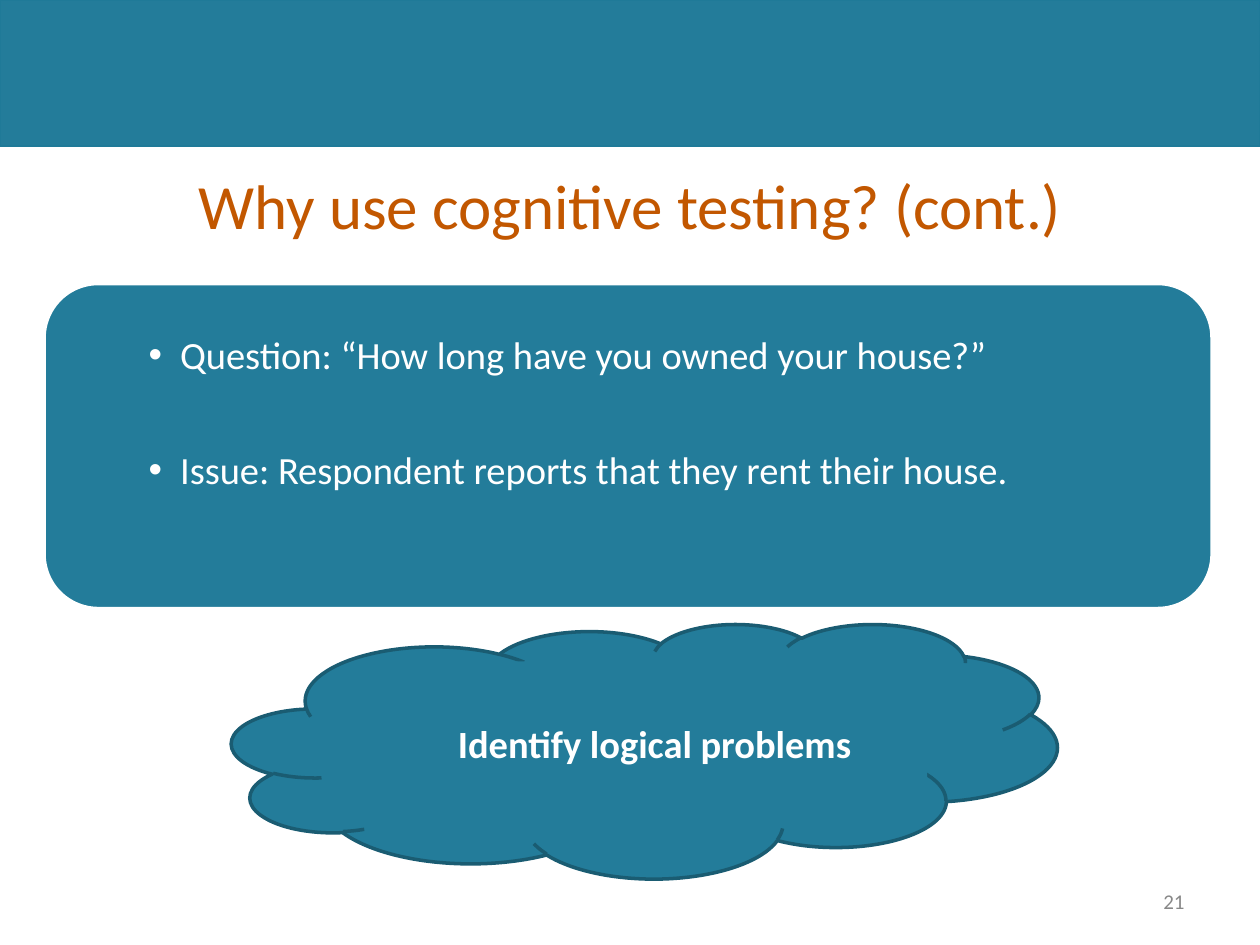
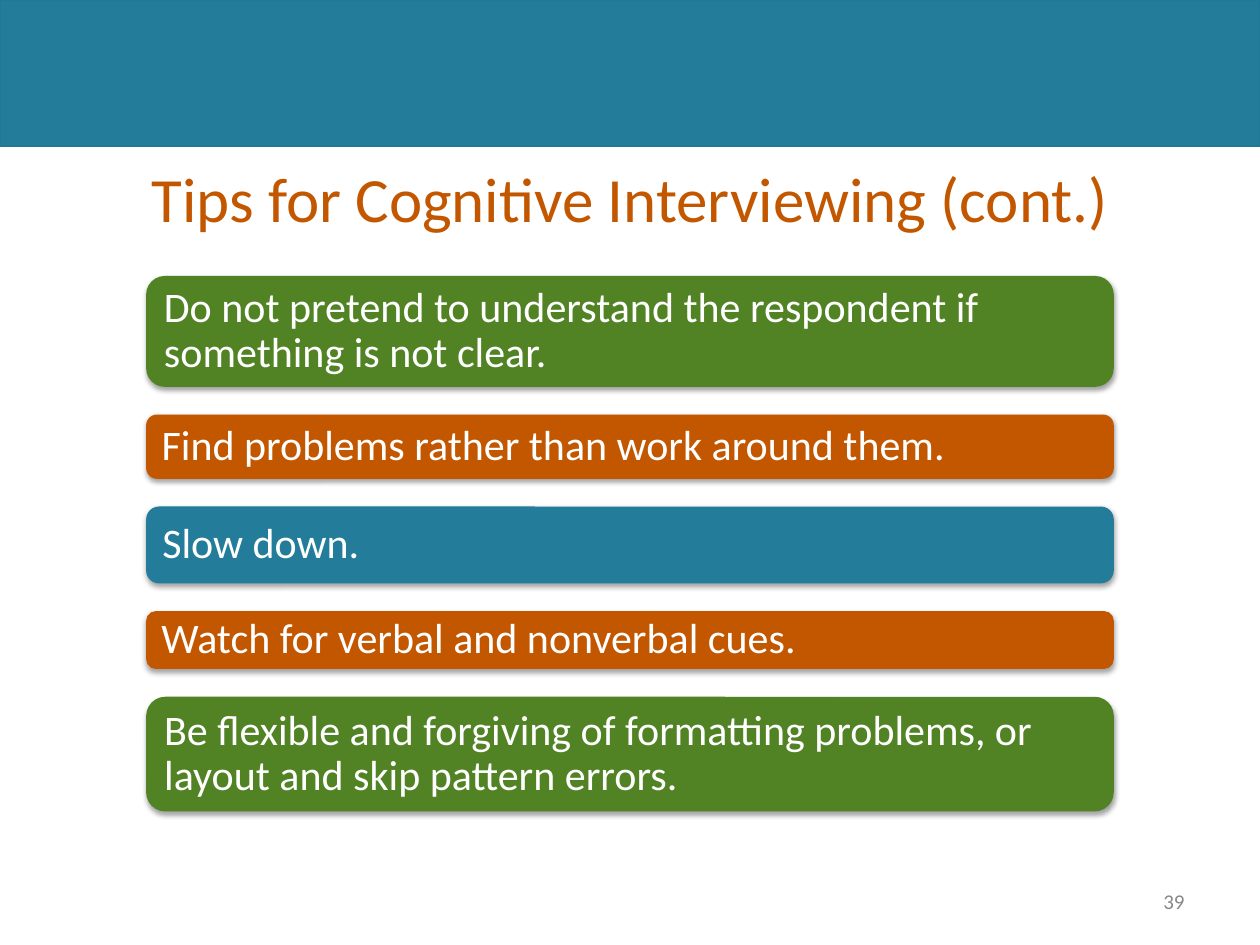
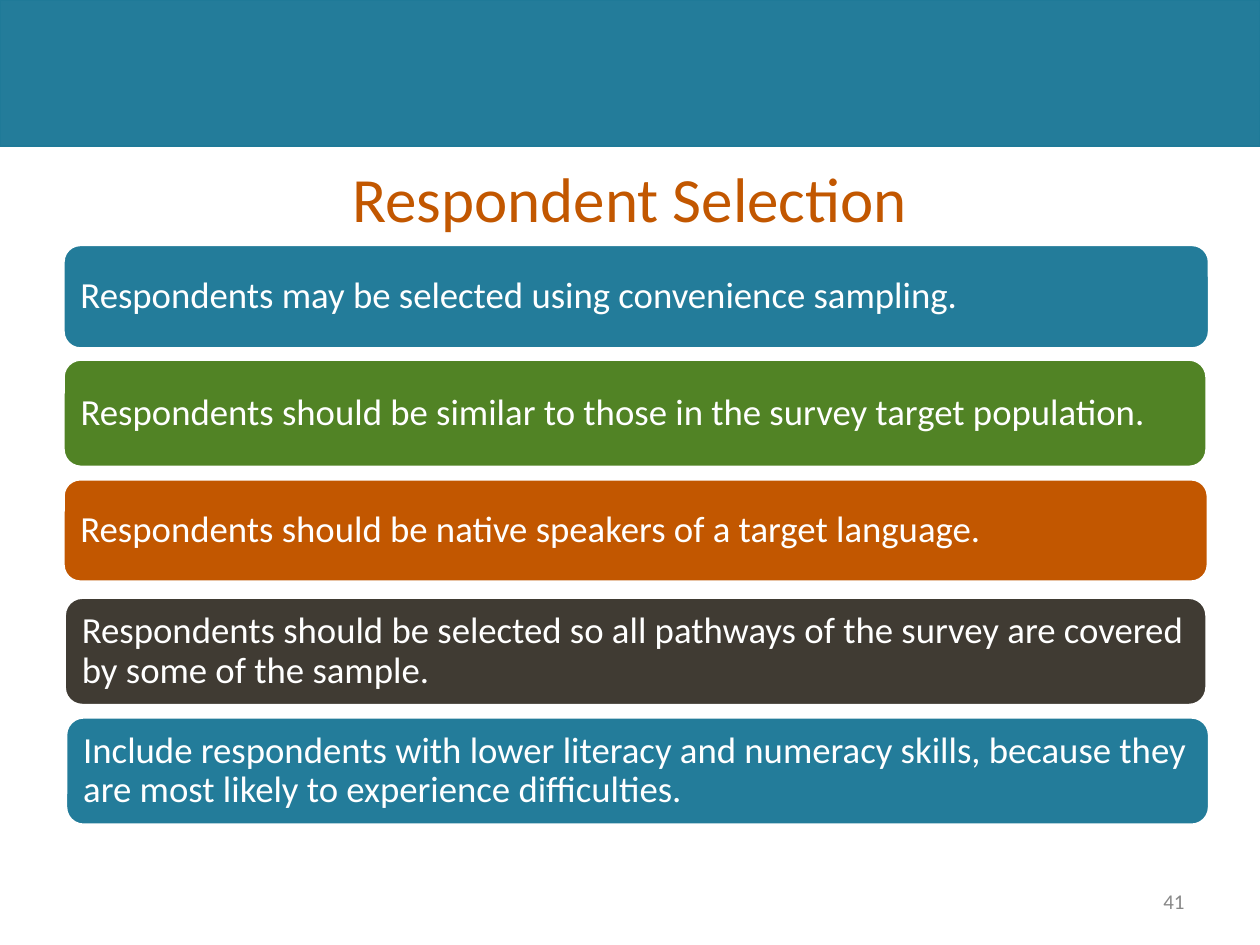
from typing import NamedTuple, Optional

from lxml.etree import SubElement
from pptx import Presentation
from pptx.dml.color import RGBColor
from pptx.enum.shapes import MSO_SHAPE
from pptx.enum.text import MSO_ANCHOR, PP_ALIGN
from pptx.oxml.ns import qn
from pptx.presentation import Presentation as Deck
from pptx.shapes.autoshape import Shape
from pptx.slide import Slide
from pptx.util import Inches, Pt

TEAL = RGBColor(0x23, 0x7C, 0x9A)
EDGE = RGBColor(0x1F, 0x7A, 0x98)
DEEP = RGBColor(0x1A, 0x5C, 0x72)
RUST = RGBColor(0xC2, 0x57, 0x00)
GREEN = RGBColor(0x51, 0x83, 0x25)
DARK = RGBColor(0x40, 0x3B, 0x33)
WHITE = RGBColor(0xFF, 0xFF, 0xFF)
GREY = RGBColor(0x88, 0x88, 0x88)
FONT = "Calibri"
ROUND = 0.167


class Box(NamedTuple):
    left: float
    top: float
    width: float
    height: float


class Style(NamedTuple):
    size: float
    color: RGBColor = WHITE
    bold: bool = False
    align: PP_ALIGN = PP_ALIGN.LEFT
    space: Optional[float] = None
    before: float = 0
    bullet: bool = False


class Card(NamedTuple):
    box: Box
    fill: RGBColor
    text: str


class Row(NamedTuple):
    height: float
    fill: RGBColor
    text: str


TITLE = Style(36, RUST, align=PP_ALIGN.CENTER)
NUMBER = Style(12, GREY, align=PP_ALIGN.RIGHT)
POINT = Style(22, before=39, bullet=True)
CLOUD = Style(22, bold=True, align=PP_ALIGN.CENTER)
TIP = Style(24, space=0.9)
RULE = Style(21, space=0.9)

TIPS = [
    Row(0.88, GREEN, "Do not pretend to understand the respondent if something is not clear."),
    Row(0.51, RUST, "Find problems rather than work around them."),
    Row(0.61, TEAL, "Slow down."),
    Row(0.46, RUST, "Watch for verbal and nonverbal cues."),
    Row(0.91, GREEN, "Be flexible and forgiving of formatting problems, "
        "or layout and skip pattern errors."),
]
RULES = [
    Card(Box(0.5, 1.94, 9.1, 0.83), TEAL,
         "Respondents may be selected using convenience sampling."),
    Card(Box(0.5, 2.85, 9.08, 0.86), GREEN,
         "Respondents should be similar to those in the survey target population."),
    Card(Box(0.5, 3.8, 9.09, 0.82), RUST,
         "Respondents should be native speakers of a target language."),
    Card(Box(0.51, 4.74, 9.07, 0.86), DARK,
         "Respondents should be selected so all pathways of the survey "
         "are covered by some of the sample."),
    Card(Box(0.52, 5.69, 9.08, 0.86), TEAL,
         "Include respondents with lower literacy and numeracy skills, "
         "because they are most likely to experience difficulties."),
]


def draw(slide: Slide, kind: MSO_SHAPE, box: Box, fill: RGBColor,
         line: Optional[RGBColor] = None, width: float = 2) -> Shape:
    shape = slide.shapes.add_shape(kind, *map(Inches, box))
    shape.shadow.inherit = False
    shape.fill.solid()
    shape.fill.fore_color.rgb = fill
    if line is None:
        shape.line.fill.background()
    else:
        shape.line.color.rgb = line
        shape.line.width = Pt(width)
    if kind == MSO_SHAPE.ROUNDED_RECTANGLE:
        shape.adjustments[0] = ROUND
    return shape


def write(shape: Shape, lines: list[str], style: Style,
          anchor: MSO_ANCHOR = MSO_ANCHOR.MIDDLE,
          side: float = 0.1, edge: float = 0.05) -> None:
    frame = shape.text_frame
    frame.word_wrap = True
    frame.vertical_anchor = anchor
    frame.margin_left = frame.margin_right = Inches(side)
    frame.margin_top = frame.margin_bottom = Inches(edge)
    for index, line in enumerate(lines):
        para = frame.paragraphs[0] if index == 0 else frame.add_paragraph()
        para.alignment = style.align
        if style.space:
            para.line_spacing = style.space
        if index and style.before:
            para.space_before = Pt(style.before)
        if style.bullet:
            props = para._p.get_or_add_pPr()
            props.set("marL", str(Inches(0.63)))
            props.set("indent", str(Inches(-0.25)))
            SubElement(props, qn("a:buFont"), typeface="Arial")
            SubElement(props, qn("a:buChar"), char="•")
        run = para.add_run()
        run.text = line
        run.font.name = FONT
        run.font.size = Pt(style.size)
        run.font.bold = style.bold
        run.font.color.rgb = style.color


def label(slide: Slide, box: Box, text: str, style: Style) -> None:
    write(slide.shapes.add_textbox(*map(Inches, box)), [text], style)


def shade(shape: Shape) -> None:
    glow = SubElement(shape._element.spPr.find(qn("a:effectLst")), qn("a:outerShdw"),
                      blurRad=str(Pt(3.1)), dist=str(Pt(1.6)), dir="5400000",
                      algn="ctr", rotWithShape="0")
    color = SubElement(glow, qn("a:srgbClr"), val="000000")
    SubElement(color, qn("a:alpha"), val="36000")


def panel(slide: Slide, card: Card, style: Style, line: Optional[RGBColor] = None) -> Shape:
    shape = draw(slide, MSO_SHAPE.ROUNDED_RECTANGLE, card.box, card.fill, line)
    write(shape, [card.text], style, edge=0)
    return shape


def start(deck: Deck, title: str, place: Box, number: int) -> Slide:
    slide = deck.slides.add_slide(deck.slide_layouts[6])
    draw(slide, MSO_SHAPE.RECTANGLE, Box(0, 0, 10, 1.16), TEAL, EDGE, 0.75)
    label(slide, place, title, TITLE)
    label(slide, Box(7.17, 6.95, 2.33, 0.4), str(number), NUMBER)
    return slide


def reasons(deck: Deck) -> None:
    slide = start(deck, "Why use cognitive testing? (cont.)", Box(0.11, 1.29, 9.78, 0.67), 21)
    draw(slide, MSO_SHAPE.ROUNDED_RECTANGLE, Box(0.35, 2.25, 9.27, 2.58), TEAL, WHITE)
    points = draw(slide, MSO_SHAPE.RECTANGLE, Box(0.72, 2.55, 8.44, 2.07), TEAL)
    write(points, ["Question: “How long have you owned your house?”",
                   "Issue: Respondent reports that they rent their house."],
          POINT, MSO_ANCHOR.TOP, 0.08, 0.08)
    draw(slide, MSO_SHAPE.CLOUD, Box(1.84, 4.95, 6.55, 2.02), TEAL, DEEP)
    goal = draw(slide, MSO_SHAPE.RECTANGLE, Box(3.03, 5.25, 4.33, 0.96), TEAL)
    write(goal, ["Identify logical problems"], CLOUD, MSO_ANCHOR.BOTTOM, 0.08, 0.13)


def tips(deck: Deck) -> None:
    slide = start(deck, "Tips for Cognitive Interviewing (cont.)", Box(0.5, 1.15, 9, 0.83), 39)
    top = 2.19
    for row in TIPS:
        card = Card(Box(1.16, top, 7.68, row.height), row.fill, row.text)
        shade(panel(slide, card, TIP))
        top += row.height + 0.22


def choice(deck: Deck) -> None:
    slide = start(deck, "Respondent Selection", Box(0.5, 1.19, 9, 0.75), 41)
    for card in RULES:
        panel(slide, card, RULE, WHITE)


def main() -> None:
    deck = Presentation()
    deck.slide_width = Inches(10)
    deck.slide_height = Inches(7.5)
    reasons(deck)
    tips(deck)
    choice(deck)
    deck.save("out.pptx")


if __name__ == "__main__":
    main()
